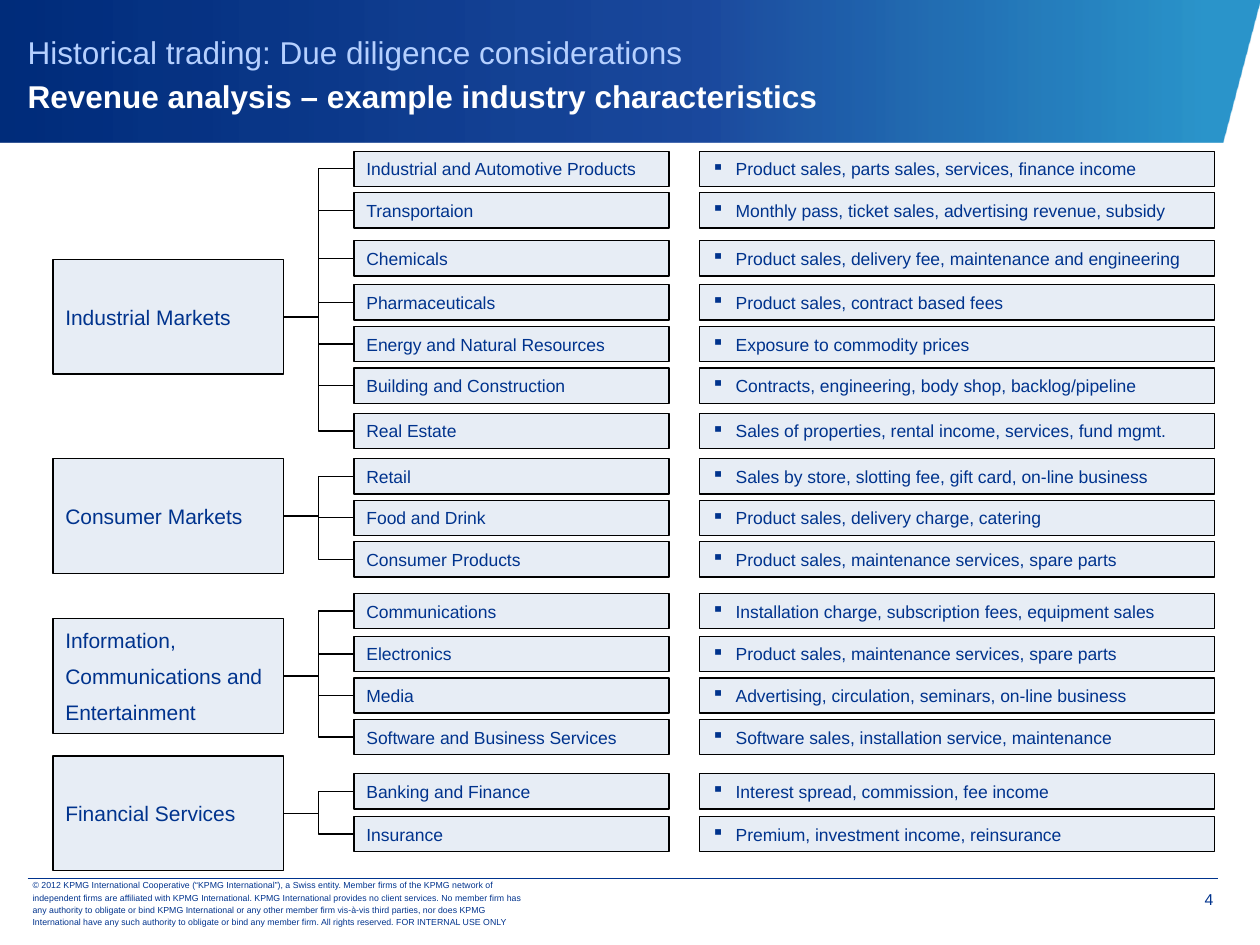
from lxml import etree
from pptx import Presentation
from pptx.dml.color import RGBColor
from pptx.enum.shapes import MSO_CONNECTOR, MSO_SHAPE
from pptx.enum.text import MSO_ANCHOR, PP_ALIGN
from pptx.oxml import parse_xml
from pptx.oxml.ns import nsdecls, qn
from pptx.util import Inches, Pt

RECTANGLE = MSO_SHAPE.RECTANGLE
STRAIGHT, ELBOW = MSO_CONNECTOR.STRAIGHT, MSO_CONNECTOR.ELBOW
TOP, MIDDLE = MSO_ANCHOR.TOP, MSO_ANCHOR.MIDDLE
LEFT, RIGHT = PP_ALIGN.LEFT, PP_ALIGN.RIGHT
NAVY, PALE, BLACK = "00338D", "E7EDF5", "000000"
LEFT_SITE, RIGHT_SITE = 1, 3


def rgb(value):
    return RGBColor.from_string(value)


def write(box, lines, size, color=NAVY, anchor=MIDDLE, align=LEFT, bullet=None):
    """Put each line in its own paragraph of the box."""
    frame = box.text_frame
    frame.word_wrap = True
    frame.vertical_anchor = anchor
    for index, line in enumerate(lines):
        para = frame.paragraphs[0] if index == 0 else frame.add_paragraph()
        para.alignment = align
        if index:
            para.space_before = Pt(size / 2)
        if bullet:
            properties = para._p.get_or_add_pPr()
            properties.set("marL", str(Inches(0.19)))
            properties.set("indent", str(-Inches(0.19)))
            etree.SubElement(properties, qn("a:buChar")).set("char", bullet)
        span = para.add_run()
        span.text = line
        span.font.name, span.font.size = "Arial", Pt(size)
        span.font.color.rgb = rgb(color)


deck = Presentation()
deck.slide_width, deck.slide_height = Inches(10), Inches(7.5)
page = deck.slides.add_slide(deck.slide_layouts[6])

# Header band with a slanted right end
outline = page.shapes.build_freeform(0, Inches(1.13))
outline.add_line_segments(
    [(Inches(x), Inches(y)) for x, y in [(9.7, 1.13), (10, 0), (0, 0)]], close=True)
band = outline.convert_to_shape()
band.shadow.inherit = False
band.line.fill.background()
stops = "".join(
    f'<a:gs pos="{place}000"><a:srgbClr val="{color}"><a:alpha val="{alpha}000"/></a:srgbClr></a:gs>'
    for place, color, alpha in [(4, "0080C0", 83), (44, "003492", 89), (100, "002C7A", 100)])
gradient = parse_xml(
    f'<a:gradFill {nsdecls("a")} rotWithShape="1"><a:gsLst>{stops}</a:gsLst>'
    '<a:lin ang="10800000" scaled="0"/></a:gradFill>')
band._element.spPr.find(qn("a:custGeom")).addnext(gradient)

# Two-line title
title = page.shapes.add_textbox(Inches(0.22), Inches(0.13), Inches(9.35), Inches(0.87))
frame = title.text_frame
frame.margin_left = frame.margin_right = frame.margin_top = frame.margin_bottom = 0
write(title, ["Historical trading: Due diligence considerations"], 18, "B5D0FF")
para = frame.paragraphs[0]
para.line_spacing = Pt(25)
para.add_line_break()
span = para.add_run()
span.text = "Revenue analysis – example industry characteristics"
span.font.name, span.font.size, span.font.bold = "Arial", Pt(18), True
span.font.color.rgb = rgb("FFFFFF")

# Each market: label lines, top of its box, rows of (top, industry, revenue types)
markets = [
    (["Industrial Markets"], 2.06, [
        (1.2, "Industrial and Automotive Products",
         "Product sales, parts sales, services, finance income"),
        (1.53, "Transportaion", "Monthly pass, ticket sales, advertising revenue, subsidy"),
        (1.91, "Chemicals", "Product sales, delivery fee, maintenance and engineering"),
        (2.26, "Pharmaceuticals", "Product sales, contract based fees"),
        (2.59, "Energy and Natural Resources", "Exposure to commodity prices"),
        (2.92, "Building and Construction",
         "Contracts, engineering, body shop, backlog/pipeline"),
        (3.28, "Real Estate", "Sales of properties, rental income, services, fund mgmt."),
    ]),
    (["Consumer Markets"], 3.64, [
        (3.64, "Retail", "Sales by store, slotting fee, gift card, on-line business"),
        (3.97, "Food and Drink", "Product sales, delivery charge, catering"),
        (4.3, "Consumer Products", "Product sales, maintenance services, spare parts"),
    ]),
    (["Information,", "Communications and", "Entertainment"], 4.91, [
        (4.71, "Communications", "Installation charge, subscription fees, equipment sales"),
        (5.05, "Electronics", "Product sales, maintenance services, spare parts"),
        (5.38, "Media", "Advertising, circulation, seminars, on-line business"),
        (5.71, "Software and Business Services",
         "Software sales, installation service, maintenance"),
    ]),
    (["Financial Services"], 6, [
        (6.14, "Banking and Finance", "Interest spread, commission, fee income"),
        (6.48, "Insurance", "Premium, investment income, reinsurance"),
    ]),
]

# Boxes of the tree, joined from market to industry
for label, market_top, rows in markets:
    cells = [(0.42, market_top, 1.83, 0.91, label, 12, None)]
    for top, industry, revenue in rows:
        cells.append((2.81, top, 2.5, 0.28, [industry], 10, None))
        cells.append((5.55, top, 4.09, 0.28, [revenue], 10, "▪"))
    boxes = []
    for left, top, width, height, lines, size, bullet in cells:
        box = page.shapes.add_shape(
            RECTANGLE, Inches(left), Inches(top), Inches(width), Inches(height))
        box.shadow.inherit = False
        box.fill.solid()
        box.fill.fore_color.rgb = rgb(PALE)
        box.line.color.rgb = rgb(BLACK)
        box.line.width = Pt(0.75)
        write(box, lines, size, bullet=bullet)
        boxes.append(box)
    for industry_box in boxes[1::2]:
        link = page.shapes.add_connector(ELBOW, 0, 0, 0, 0)
        link.begin_connect(boxes[0], RIGHT_SITE)
        link.end_connect(industry_box, LEFT_SITE)
        link.line.color.rgb = rgb(BLACK)
        link.line.width = Pt(0.75)
        etree.SubElement(link._element.spPr, qn("a:effectLst"))

# Footer rule, copyright and page number
rule = page.shapes.add_connector(
    STRAIGHT, Inches(0.22), Inches(6.97), Inches(9.67), Inches(6.97))
rule.line.color.rgb = rgb(NAVY)
rule.line.width = Pt(0.25)
etree.SubElement(rule._element.spPr, qn("a:effectLst"))

notice = page.shapes.add_textbox(Inches(0.16), Inches(6.99), Inches(4.15), Inches(0.35))
write(notice, [
    "© 2012 KPMG International Cooperative (“KPMG International”), a Swiss entity. "
    "Member firms of the KPMG network of independent firms are affiliated with KPMG "
    "International. KPMG International provides no client services. No member firm has any "
    "authority to obligate or bind KPMG International or any other member firm vis-à-vis "
    "third parties, nor does KPMG International have any such authority to obligate or bind "
    "any member firm. All rights reserved. FOR INTERNAL USE ONLY"], 5)
notice.text_frame.paragraphs[0].line_spacing = Pt(7)

number = page.shapes.add_textbox(Inches(9.08), Inches(6.98), Inches(0.55), Inches(0.31))
frame = number.text_frame
frame.margin_left = frame.margin_top = Inches(0.08)
frame.margin_right = frame.margin_bottom = 0
write(number, ["4"], 9, anchor=TOP, align=RIGHT)

deck.save("out.pptx")
